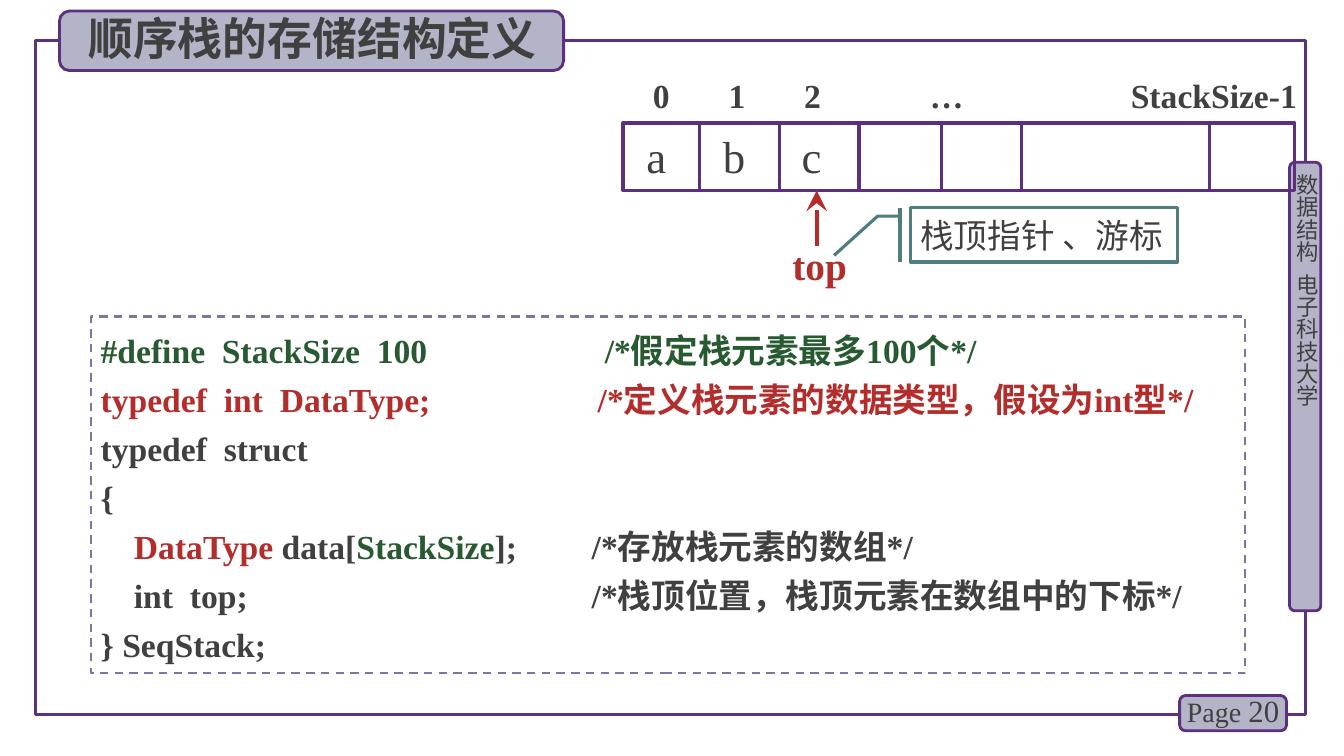
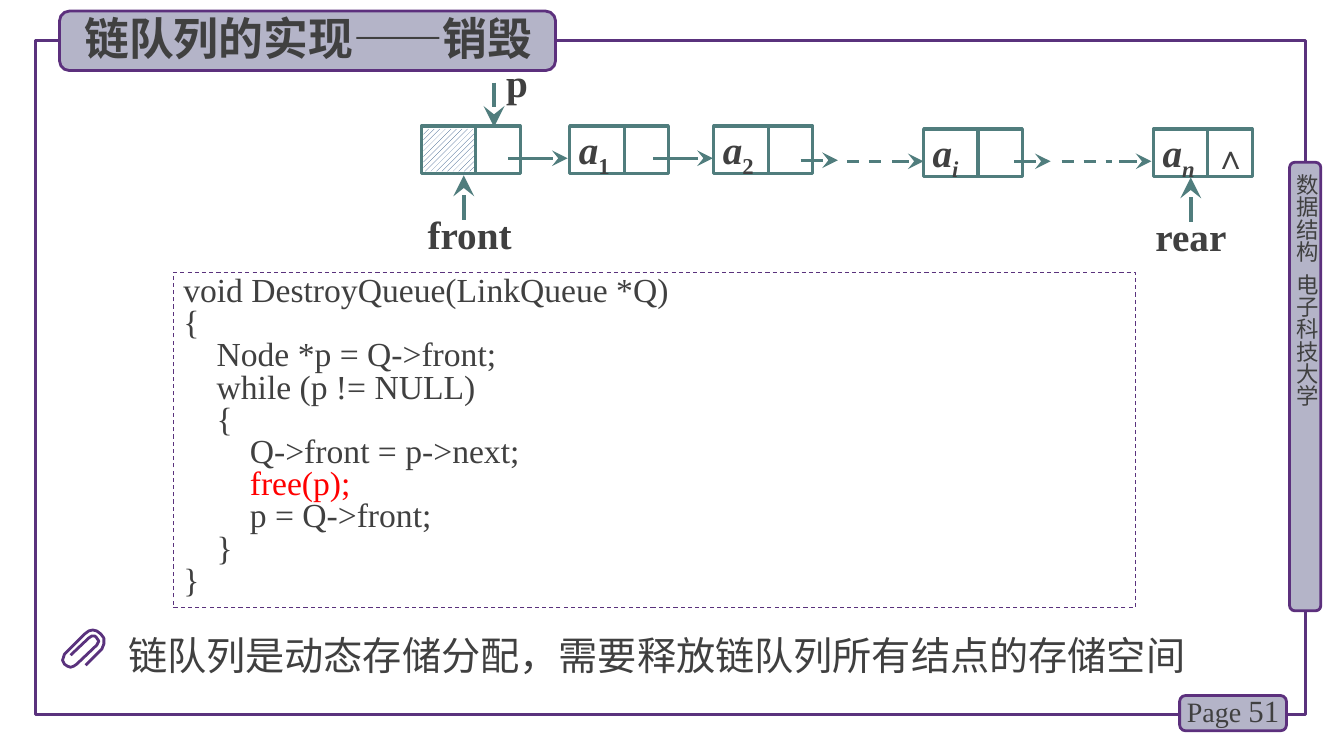
from lxml.etree import SubElement
from pptx import Presentation
from pptx.dml.color import RGBColor
from pptx.enum.dml import MSO_LINE, MSO_PATTERN
from pptx.enum.shapes import MSO_CONNECTOR, MSO_SHAPE
from pptx.enum.text import MSO_ANCHOR, MSO_AUTO_SIZE, PP_ALIGN
from pptx.oxml.ns import qn
from pptx.util import Inches, Pt

PURPLE, FRAME_PURPLE, LILAC, SLATE = "5C307D", "5A327D", "B4B4C8", "7878A0"
INK, RED, GREEN, TEAL = "404040", "B42D2D", "285A32", "507D7D"
BRIGHT_RED, NAVY, WHITE = "FF0000", "1F497D", "FFFFFF"
SERIF, SANS = "Times New Roman", "Noto Sans CJK SC"


def color(value):
    return RGBColor.from_string(value)


# ---- Text ----
def style_run(span, size, name=SERIF, ink=INK, bold=False, italic=False, baseline=0):
    span.font.size = Pt(size)
    span.font.name = name
    span.font.bold = bold
    span.font.italic = italic
    span.font.color.rgb = color(ink)
    properties = span._r.get_or_add_rPr()
    SubElement(properties, qn("a:ea")).set("typeface", SANS)
    if baseline:
        properties.set("baseline", str(baseline * 1000))


def write_line(para, spans, align=PP_ALIGN.LEFT, spacing=None, indent=0, tabs=(), **style):
    """Fill a paragraph; spans is a string or a list of (text, style changes)."""
    if isinstance(spans, str):
        spans = [(spans, {})]
    for text, changes in spans:
        span = para.add_run()
        span.text = text
        style_run(span, **{**style, **changes})
    para.alignment = align
    if spacing:
        para.line_spacing = spacing
    properties = para._p.get_or_add_pPr()
    if indent:
        properties.set("marL", str(Inches(indent)))
        properties.set("indent", "0")
    if tabs:
        stops = SubElement(properties, qn("a:tabLst"))
        for position in tabs:
            SubElement(stops, qn("a:tab"), pos=str(Inches(position)), algn="l")


def set_frame(shape, margins=(0.1, 0.05, 0.1, 0.05), anchor=MSO_ANCHOR.TOP, wrap=True):
    frame = shape.text_frame
    frame.word_wrap = wrap
    frame.auto_size = MSO_AUTO_SIZE.NONE
    frame.vertical_anchor = anchor
    (frame.margin_left, frame.margin_top,
     frame.margin_right, frame.margin_bottom) = map(Inches, margins)
    return frame


def add_label(page, box, spans, margins=(0, 0, 0, 0), anchor=MSO_ANCHOR.TOP, **style):
    label = page.shapes.add_textbox(*map(Inches, box))
    frame = set_frame(label, margins, anchor, wrap=False)
    write_line(frame.paragraphs[0], spans, **style)


# ---- Shapes and lines ----
def add_box(page, box, line=None, width=2.25, fill=None, kind=MSO_SHAPE.RECTANGLE, dash=None):
    shape = page.shapes.add_shape(kind, *map(Inches, box))
    shape.shadow.inherit = False
    if fill:
        shape.fill.solid()
        shape.fill.fore_color.rgb = color(fill)
    else:
        shape.fill.background()
    if line:
        shape.line.color.rgb = color(line)
        shape.line.width = Pt(width)
        shape.line.dash_style = dash
    else:
        shape.line.fill.background()
    return shape


def add_plate(page, box):
    return add_box(page, box, PURPLE, 2, LILAC, MSO_SHAPE.ROUNDED_RECTANGLE)


def add_line(page, x1, y1, x2, y2, ink=TEAL, width=2.25, arrow=False, dash=None):
    line = page.shapes.add_connector(MSO_CONNECTOR.STRAIGHT, *map(Inches, (x1, y1, x2, y2)))
    line.line.color.rgb = color(ink)
    line.line.width = Pt(width)
    line.line.dash_style = dash
    if arrow:
        SubElement(line.line._get_or_add_ln(), qn("a:tailEnd"),
                   type="stealth", w="lg", len="lg")
    SubElement(line._element.spPr, qn("a:effectLst"))


# ---- Parts shared by both slides ----
def add_page(deck, title, title_width, number):
    page = deck.slides.add_slide(deck.slide_layouts[5])
    add_box(page, (0.35, 0.4, 12.6, 6.69), FRAME_PURPLE)

    # Vertical course band
    band = add_plate(page, (12.79, 1.61, 0.31, 4.45))
    frame = set_frame(band, (0.04, 0.05, 0, 0), MSO_ANCHOR.MIDDLE)
    frame._txBody.bodyPr.set("vert", "eaVert")
    write_line(frame.paragraphs[0], "数据结构  电子科技大学", size=16, name=SANS)

    # Page number
    tag = add_plate(page, (11.7, 6.9, 1.06, 0.35))
    frame = set_frame(tag, (0, 0, 0, 0.06), MSO_ANCHOR.MIDDLE, wrap=False)
    write_line(frame.paragraphs[0], [("Page ", {}), (str(number), {"size": 22})],
               PP_ALIGN.CENTER, size=20)

    # Title on its plate
    box = (0.59, 0.11, title_width, 0.59)
    add_plate(page, box)
    heading = page.shapes.title
    heading.left, heading.top, heading.width, heading.height = map(Inches, box)
    frame = set_frame(heading, (0.02, 0, 0, 0.06), MSO_ANCHOR.MIDDLE, wrap=False)
    write_line(frame.paragraphs[0], title, PP_ALIGN.CENTER, size=32, name=SANS, bold=True)
    page.shapes._spTree.append(heading._element)
    return page


def add_code(page, box, lines, spacing, line, width, **style):
    """Dashed code panel; each line is (spans, paragraph options)."""
    panel = add_box(page, box, line, width, dash=MSO_LINE.DASH)
    frame = set_frame(panel)
    for index, (spans, options) in enumerate(lines):
        para = frame.add_paragraph() if index else frame.paragraphs[0]
        write_line(para, spans, spacing=Pt(spacing), size=24, **options, **style)


# ---- Sequential stack ----
def add_stack(page, left, top, width, height):
    add_box(page, (left, top, width, height), PURPLE)
    for offset in (0.76, 1.55, 2.34, 3.16, 3.95, 5.82):
        add_line(page, left + offset, top, left + offset, top + height, PURPLE)

    # Indices above, elements inside
    indices = [(0.38, "0"), (1.13, "1"), (1.88, "2"), (3.21, "…"), (5.86, "StackSize-1")]
    for centre, text in indices:
        add_label(page, (left + centre - 0.9, top - 0.48, 1.8, 0.4), text,
                  align=PP_ALIGN.CENTER, size=24, bold=True)
    for index, text in enumerate("abc"):
        add_label(page, (left + 0.08 + 0.77 * index, top + 0.06, 0.5, 0.55), text,
                  align=PP_ALIGN.CENTER, size=32)

    # Top pointer and its callout
    base = top + height
    add_line(page, left + 1.92, base + 0.55, left + 1.92, base, RED, 3, arrow=True)
    add_label(page, (left + 1.68, base + 0.5, 0.6, 0.47), "top", size=28, ink=RED, bold=True)
    callout = add_box(page, (left + 2.85, base + 0.17, 2.65, 0.54), TEAL,
                      kind=MSO_SHAPE.LINE_CALLOUT_2_BORDER_AND_ACCENT_BAR)
    for index, value in enumerate((0.157, -0.039, 0.157, -0.123, 0.879, -0.286)):
        callout.adjustments[index] = value
    frame = set_frame(callout, anchor=MSO_ANCHOR.MIDDLE, wrap=False)
    write_line(frame.paragraphs[0], "栈顶指针 、游标", size=24, name=SANS)


def build_stack_page(deck):
    page = add_page(deck, "顺序栈的存储结构定义", 5, 20)
    green, red = {"ink": GREEN}, {"ink": RED}
    member_tabs = {"tabs": (0.33, 4.87)}
    lines = [
        ([("#define  StackSize  100\t/*假定栈元素最多100个*/", green)], {"tabs": (5,)}),
        ([("typedef  int  DataType;\t/*定义栈元素的数据类型，假设为int型*/", red)],
         {"tabs": (4.93,)}),
        ("typedef  struct", {}),
        ("{", {}),
        ([("\t", {}), ("DataType", red), (" data[", {}), ("StackSize", green),
          ("];\t/*存放栈元素的数组*/", {})], member_tabs),
        ("\tint  top;\t/*栈顶位置，栈顶元素在数组中的下标*/", member_tabs),
        ("} SeqStack;", {}),
    ]
    add_code(page, (0.9, 3.14, 11.45, 3.54), lines, 35, SLATE, 1.5, bold=True)
    add_stack(page, 6.18, 1.22, 6.66, 0.67)


# ---- Linked queue ----
def add_node(page, left, top, letter="", index="", index_italic=False):
    node = add_box(page, (left, top, 0.98, 0.47), TEAL)
    add_line(page, left + 0.54, top, left + 0.54, top + 0.47)
    if letter:
        frame = set_frame(node, (0.09, 0, 0, 0.08), wrap=False)
        spans = [(letter, {}), (index, {"italic": index_italic, "baseline": -25})]
        write_line(frame.paragraphs[0], spans, spacing=0.9, size=28, bold=True, italic=True)


def add_pointer(page, x, tail, tip, text, text_left, text_top):
    add_line(page, x, tail, x, tip, width=3, arrow=True)
    add_label(page, (text_left, text_top, 0.85, 0.35), text, spacing=0.8, size=28, bold=True)


def add_queue(page, left, top):
    # Head node with a hatched data field
    add_node(page, left, top)
    hatch = add_box(page, (left + 0.02, top + 0.03, 0.5, 0.42))
    hatch.fill.patterned()
    hatch.fill.pattern = MSO_PATTERN.WIDE_UPWARD_DIAGONAL
    hatch.fill.fore_color.rgb = color(NAVY)
    hatch.fill.back_color.rgb = color(WHITE)

    # Element nodes
    nodes = [(1.47, 0, "1", False), (2.9, 0, "2", False),
             (4.98, 0.03, "i", True), (7.26, 0.03, "n", True)]
    for offset, drop, index, italic in nodes:
        add_node(page, left + offset, top + drop, "a", index, italic)
    add_label(page, (left + 7.86, top + 0.1, 0.3, 0.4), "∧", size=24, bold=True)

    # Links between nodes
    links = [(0.86, 1.45, 0.32), (2.3, 2.89, 0.32), (3.76, 4.13, 0.34),
             (4.67, 4.98, 0.35), (5.88, 6.24, 0.35), (6.92, 7.24, 0.35)]
    for start, end, drop in links:
        add_line(page, left + start, top + drop, left + end, top + drop, arrow=True)
    for start, end in ((4.22, 4.58), (6.35, 6.85)):
        add_line(page, left + start, top + 0.35, left + end, top + 0.35, dash=MSO_LINE.DASH)

    # Pointers
    add_pointer(page, left + 0.72, top - 0.43, top + 0.01, "p", left + 0.84, top - 0.58)
    add_pointer(page, left + 0.42, top + 0.93, top + 0.49, "front", left + 0.06, top + 0.93)
    add_pointer(page, left + 7.63, top + 0.95, top + 0.51, "rear", left + 7.28, top + 0.95)


def add_clip_note(page, left, top, text):
    # Paper clip as one bent wire
    wire = [(0.11, 0.38), (0.29, 0.21), (0.32, 0.19), (0.35, 0.19), (0.37, 0.21),
            (0.39, 0.24), (0.37, 0.28), (0.17, 0.47), (0.14, 0.49), (0.11, 0.5),
            (0.08, 0.49), (0.05, 0.47), (0.03, 0.43), (0.05, 0.37), (0.25, 0.17),
            (0.29, 0.14), (0.33, 0.13), (0.37, 0.14), (0.41, 0.17), (0.44, 0.21),
            (0.44, 0.27), (0.42, 0.32), (0.26, 0.48)]
    points = [(Inches(left + x), Inches(top + y)) for x, y in wire]
    builder = page.shapes.build_freeform(*points[0])
    builder.add_line_segments(points[1:], close=False)
    clip = builder.convert_to_shape()
    clip.shadow.inherit = False
    clip.fill.background()
    clip.line.color.rgb = color(FRAME_PURPLE)
    clip.line.width = Pt(2)
    add_label(page, (left + 0.68, top, 10.61, 0.66), text,
              anchor=MSO_ANCHOR.MIDDLE, spacing=Pt(40), size=28, name=SANS)


def build_queue_page(deck):
    page = add_page(deck, "链队列的实现——销毁", 4.92, 51)
    code = [
        (0, "void DestroyQueue(LinkQueue *Q)"),
        (0, "{"),
        (1, "Node *p = Q->front;"),
        (1, "while (p != NULL)"),
        (1, "{"),
        (2, "Q->front = p->next;"),
        (2, [("free(p);", {"ink": BRIGHT_RED})]),
        (2, "p = Q->front;"),
        (1, "}"),
        (0, "}"),
    ]
    lines = [(spans, {"indent": level * 0.33}) for level, spans in code]
    add_code(page, (1.72, 2.7, 9.54, 3.33), lines, 23, FRAME_PURPLE, 0.75)
    add_queue(page, 4.18, 1.25)
    add_clip_note(page, 0.59, 6.12, "链队列是动态存储分配，需要释放链队列所有结点的存储空间")


def main():
    deck = Presentation()
    deck.slide_width, deck.slide_height = Inches(13.33), Inches(7.5)
    build_stack_page(deck)
    build_queue_page(deck)
    deck.save("out.pptx")


if __name__ == "__main__":
    main()
